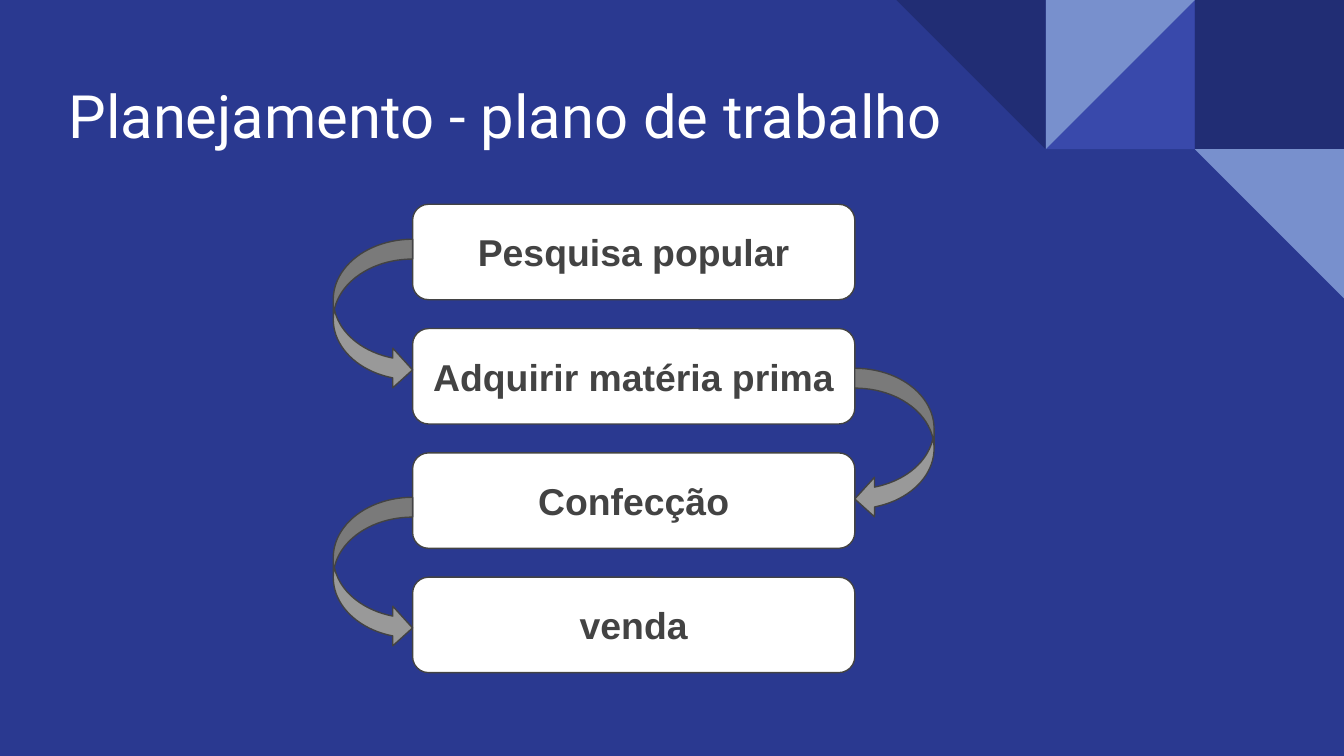
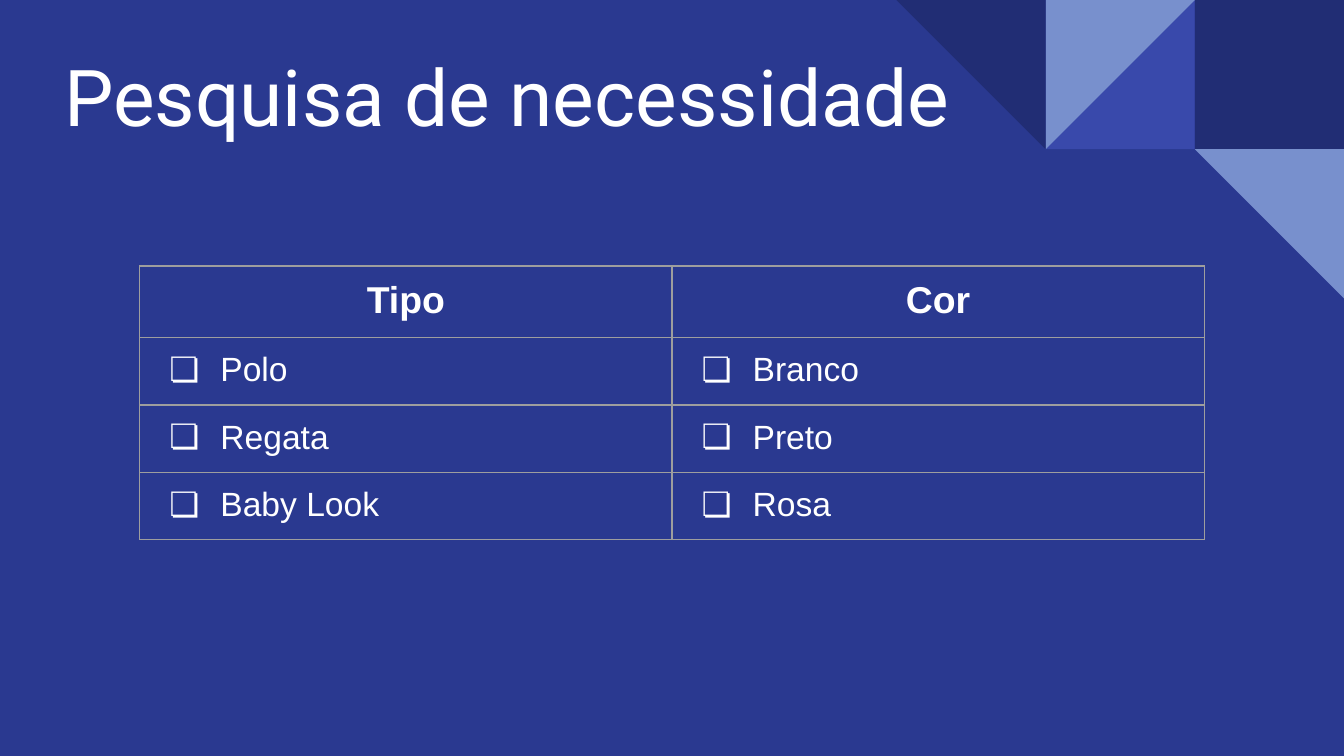
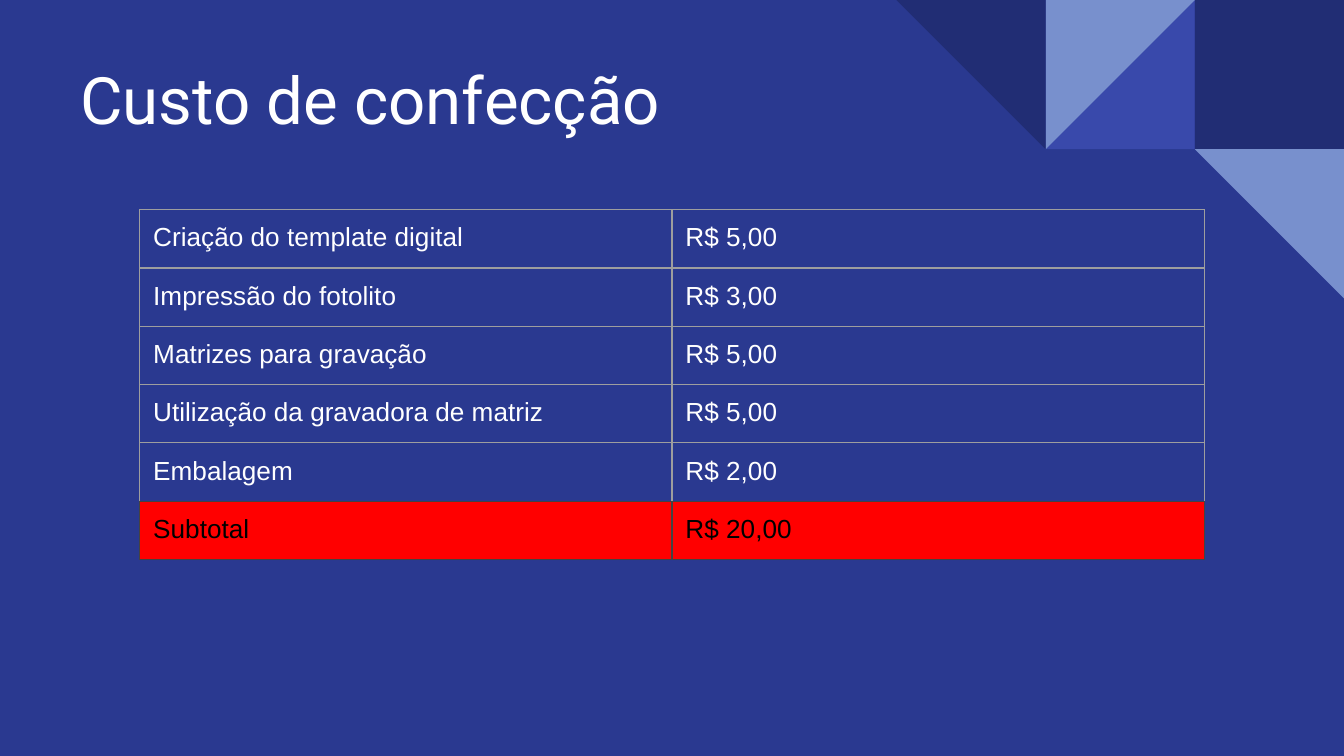
"""Build three slides on planning, research and cost of a T-shirt project."""
from dataclasses import dataclass

from lxml import etree
from pptx import Presentation
from pptx import util as u
from pptx.dml import color
from pptx.enum import shapes, text
from pptx.oxml import ns

COLORS = {
    "background": "2A3990",
    "navy": "212D74",
    "indigo": "3949AB",
    "sky": "7890CD",
    "white": "FFFFFF",
    "black": "000000",
    "charcoal": "434343",
    "gray": "999999",
    "grid": "9E9E9E",
    "red": "FF0000",
}
BODY_FONT = "Arial"
TITLE_FONT = "Roboto"
TILE = 1.11
MARGIN = u.Inches(0.1)
BOX_LEFT, BOX_TOP, BOX_WIDTH, BOX_HEIGHT = 3.07, 1.52, 3.29, 0.71
BOX_PITCH = 0.925
ARROW_TOP, ARROW_WIDTH, ARROW_HEIGHT, ARROW_PITCH = 1.78, 0.59, 1.12, 0.96
TABLE_LEFT, COLUMN_WIDTH = 1.04, 3.96
SIDES = ("L", "R", "T", "B")


@dataclass(frozen=True)
class Tile:
    kind: shapes.MSO_SHAPE
    column: int
    row: int
    fill: str
    rotation: int = 0
    flipped: bool = False


@dataclass(frozen=True)
class Title:
    words: str
    left: float
    top: float
    height: float
    size: int
    line_spacing: float = 1.0
    anchor: text.MSO_ANCHOR = text.MSO_ANCHOR.MIDDLE


@dataclass(frozen=True)
class CellStyle:
    size: int
    font_color: str = "white"
    bold: bool = False
    bullet: str = ""
    fill: str = ""
    border: str = "grid"
    bottom: str = "grid"


@dataclass(frozen=True)
class Row:
    cells: tuple[str, ...]
    style: CellStyle
    height: float


TRIANGLE = shapes.MSO_SHAPE.RIGHT_TRIANGLE
TILES = (
    Tile(shapes.MSO_SHAPE.RECTANGLE, 2, 0, "navy"),
    Tile(TRIANGLE, 1, 0, "indigo", flipped=True),
    Tile(TRIANGLE, 1, 0, "sky", 180, True),
    Tile(TRIANGLE, 0, 0, "navy", 180),
    Tile(TRIANGLE, 2, 1, "sky", 180),
)
STEPS = ("Pesquisa popular", "Adquirir matéria prima", "Confecção", "venda")

HEADER = CellStyle(20, bold=True)
OPTION = CellStyle(18, bullet="❏")
COST = CellStyle(14)
LAST_COST = CellStyle(14, bottom="charcoal")
SUBTOTAL = CellStyle(14, "black", fill="red", border="charcoal", bottom="charcoal")
NEEDS = (
    Row(("Tipo", "Cor"), HEADER, 0.51),
    Row(("Polo", "Branco"), OPTION, 0.48),
    Row(("Regata", "Preto"), OPTION, 0.48),
    Row(("Baby Look", "Rosa"), OPTION, 0.48),
)
COSTS = (
    Row(("Criação do template digital", "R$ 5,00"), COST, 0.42),
    Row(("Impressão do fotolito", "R$ 3,00"), COST, 0.42),
    Row(("Matrizes para gravação", "R$ 5,00"), COST, 0.42),
    Row(("Utilização da gravadora de matriz", "R$ 5,00"), COST, 0.42),
    Row(("Embalagem", "R$ 2,00"), LAST_COST, 0.42),
    Row(("Subtotal", "R$ 20,00"), SUBTOTAL, 0.42),
)


def rgb(name: str) -> color.RGBColor:
    """Look up a colour by name."""
    return color.RGBColor.from_string(COLORS[name])


def add_solid(parent, name: str):
    """Append a solid colour to an XML element."""
    fill = etree.SubElement(parent, ns.qn("a:solidFill"))
    etree.SubElement(fill, ns.qn("a:srgbClr"), val=COLORS[name])


def set_font(paragraph, name: str, size: int, font_color: str, bold: bool = False):
    """Set the font of a whole paragraph."""
    font = paragraph.font
    font.name, font.size, font.bold = name, u.Pt(size), bold
    font.color.rgb = rgb(font_color)


def set_margins(frame):
    """Give a text frame or a cell equal margins."""
    frame.margin_left = frame.margin_right = MARGIN
    frame.margin_top = frame.margin_bottom = MARGIN


def add_figure(slide, kind, left: float, top: float, width: float, height: float,
               fill: str, line: str = "", flipped: bool = False):
    """Draw a preset shape without shadow."""
    shape = slide.shapes.add_shape(
        kind, u.Inches(left), u.Inches(top), u.Inches(width), u.Inches(height))
    shape.shadow.inherit = False
    shape.fill.solid()
    shape.fill.fore_color.rgb = rgb(fill)
    if line:
        shape.line.color.rgb = rgb(line)
        shape.line.width = u.Pt(0.75)
    else:
        shape.line.fill.background()
    if flipped:
        shape.element.spPr.xfrm.set("flipH", "1")
    return shape


def add_slide(presentation, title: Title):
    """Add a slide with background, corner tiles and title."""
    slide = presentation.slides.add_slide(presentation.slide_layouts[6])
    slide.background.fill.solid()
    slide.background.fill.fore_color.rgb = rgb("background")
    for tile in TILES:
        shape = add_figure(slide, tile.kind, 10 - (3 - tile.column) * TILE, tile.row * TILE,
                           TILE, TILE, tile.fill, flipped=tile.flipped)
        shape.rotation = tile.rotation
    box = slide.shapes.add_textbox(
        u.Inches(title.left), u.Inches(title.top), u.Inches(8.98), u.Inches(title.height))
    frame = box.text_frame
    frame.word_wrap = True
    frame.vertical_anchor = title.anchor
    set_margins(frame)
    paragraph = frame.paragraphs[0]
    paragraph.text = title.words
    paragraph.line_spacing = title.line_spacing
    set_font(paragraph, TITLE_FONT, title.size, "white")
    return slide


def add_steps(slide):
    """Draw the step boxes and the curved arrows between them."""
    for index, step in enumerate(STEPS):
        box = add_figure(slide, shapes.MSO_SHAPE.ROUNDED_RECTANGLE, BOX_LEFT,
                         BOX_TOP + index * BOX_PITCH, BOX_WIDTH, BOX_HEIGHT,
                         "white", "charcoal")
        frame = box.text_frame
        frame.word_wrap = True
        frame.vertical_anchor = text.MSO_ANCHOR.MIDDLE
        set_margins(frame)
        paragraph = frame.paragraphs[0]
        paragraph.text = step
        paragraph.alignment = text.PP_ALIGN.CENTER
        set_font(paragraph, BODY_FONT, 20, "charcoal", True)
    for index in range(len(STEPS) - 1):
        on_left = index % 2 == 0
        left = BOX_LEFT - ARROW_WIDTH if on_left else BOX_LEFT + BOX_WIDTH
        add_figure(slide, shapes.MSO_SHAPE.CURVED_LEFT_ARROW, left,
                   ARROW_TOP + index * ARROW_PITCH, ARROW_WIDTH, ARROW_HEIGHT,
                   "gray", "charcoal", on_left)


def add_bullet(paragraph, symbol: str):
    """Give a paragraph a hanging bullet."""
    properties = paragraph._p.get_or_add_pPr()
    properties.set("marL", str(u.Inches(0.5)))
    properties.set("indent", str(u.Inches(-0.38)))
    bullet_color = etree.SubElement(properties, ns.qn("a:buClr"))
    etree.SubElement(bullet_color, ns.qn("a:srgbClr"), val=COLORS["white"])
    etree.SubElement(properties, ns.qn("a:buFont"), typeface=BODY_FONT)
    etree.SubElement(properties, ns.qn("a:buChar"), char=symbol)


def fill_cell(cell, words: str, style: CellStyle):
    """Write and style one table cell."""
    set_margins(cell)
    paragraph = cell.text_frame.paragraphs[0]
    paragraph.text = words
    if style.bold:
        paragraph.alignment = text.PP_ALIGN.CENTER
    if style.bullet:
        add_bullet(paragraph, style.bullet)
    set_font(paragraph, BODY_FONT, style.size, style.font_color, style.bold)
    properties = cell._tc.get_or_add_tcPr()
    for side in SIDES:
        line = etree.SubElement(properties, ns.qn(f"a:ln{side}"), w=str(u.Pt(0.75)))
        add_solid(line, style.bottom if side == "B" else style.border)
    if style.fill:
        cell.fill.solid()
        cell.fill.fore_color.rgb = rgb(style.fill)
    else:
        cell.fill.background()


def add_grid(slide, top: float, rows: tuple[Row, ...]):
    """Draw a two-column table."""
    columns = len(rows[0].cells)
    table = slide.shapes.add_table(
        len(rows), columns, u.Inches(TABLE_LEFT), u.Inches(top),
        u.Inches(columns * COLUMN_WIDTH), u.Inches(sum(row.height for row in rows))).table
    table.first_row = table.horz_banding = False
    for column in table.columns:
        column.width = u.Inches(COLUMN_WIDTH)
    for row_index, row in enumerate(rows):
        table.rows[row_index].height = u.Inches(row.height)
        for column_index, words in enumerate(row.cells):
            fill_cell(table.cell(row_index, column_index), words, row.style)


def main():
    """Build and save the presentation."""
    presentation = Presentation()
    presentation.slide_width = u.Inches(10)
    presentation.slide_height = u.Inches(5.625)
    plan = Title("Planejamento - plano de trabalho", 0.41, 0.41, 0.56, 32, 1.15,
                 text.MSO_ANCHOR.TOP)
    add_steps(add_slide(presentation, plan))
    needs = Title("Pesquisa de necessidade", 0.38, 0.25, 0.92, 42)
    add_grid(add_slide(presentation, needs), 1.98, NEEDS)
    costs = Title("Custo de confecção", 0.5, 0.27, 0.92, 35)
    add_grid(add_slide(presentation, costs), 1.56, COSTS)
    presentation.save("out.pptx")


if __name__ == "__main__":
    main()
